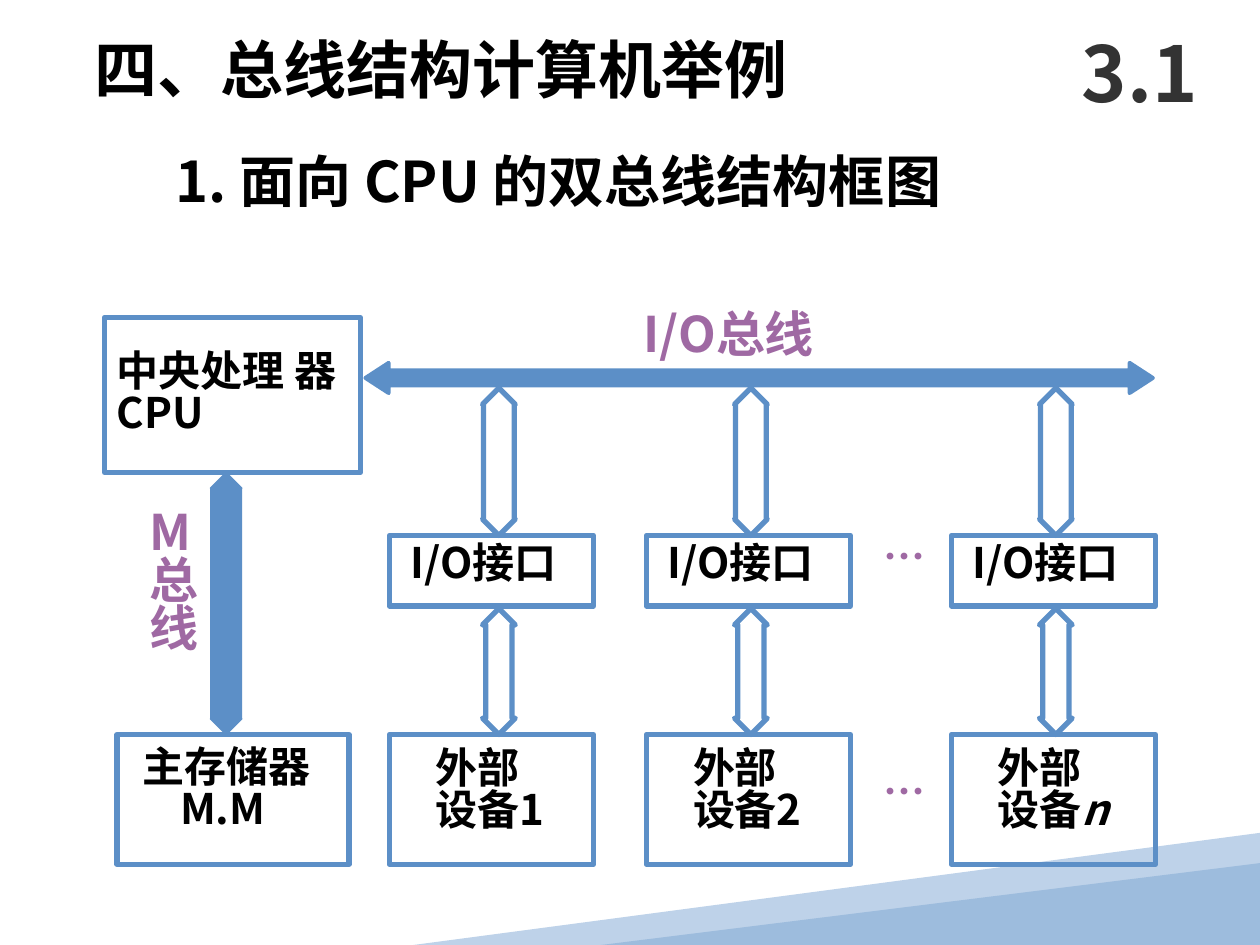
import pptx
import pptx.dml.color
import pptx.enum.shapes
import pptx.enum.text
import pptx.oxml
import pptx.util
from pptx.util import Inches

RGBColor = pptx.dml.color.RGBColor
SHAPE = pptx.enum.shapes.MSO_SHAPE
ANCHOR = pptx.enum.text.MSO_ANCHOR
ALIGN = pptx.enum.text.PP_ALIGN

BLUE = RGBColor(0x5C, 0x8F, 0xC7)
PALE_BLUE = RGBColor(0xBE, 0xD2, 0xE9)
MID_BLUE = RGBColor(0x9D, 0xBC, 0xDD)
PURPLE = RGBColor(0x9F, 0x69, 0xA3)
BLACK = RGBColor(0, 0, 0)
GRAY = RGBColor(0x33, 0x33, 0x33)
FONT = "Noto Sans CJK SC"
LINE_SPACING = 0.82

# Left edge of each device column and the middle of its arrows
COLUMNS = [(3.09, 3.96), (5.13, 5.96), (7.55, 8.38)]
DEVICE_NAMES = ["1", "2", "n"]


def place(box, left, top, width, height):
    box.left, box.top = Inches(left), Inches(top)
    box.width, box.height = Inches(width), Inches(height)


def write(box, lines, size, color=BLACK, insets=(0.1, 0.05, 0.1, 0.05),
          anchor=ANCHOR.TOP, align=ALIGN.LEFT, indents=()):
    """Each line is a list of (text, italic) runs."""
    frame = box.text_frame
    frame.word_wrap = True
    frame.auto_size = pptx.enum.text.MSO_AUTO_SIZE.NONE
    frame.vertical_anchor = anchor
    (frame.margin_left, frame.margin_top,
     frame.margin_right, frame.margin_bottom) = map(Inches, insets)
    for index, line in enumerate(lines):
        para = frame.paragraphs[0] if index == 0 else frame.add_paragraph()
        indent = indents[index] if indents else 0
        props = para._p.get_or_add_pPr()
        props.set("marL", str(Inches(indent)))
        props.set("indent", "0")
        pptx.oxml.ns  # namespace helpers for the bullet element below
        para.alignment = align
        para.line_spacing = LINE_SPACING
        para.space_before = para.space_after = pptx.util.Pt(0)
        props.append(pptx.oxml.xmlchemy.OxmlElement("a:buNone"))
        for text, italic in line:
            span = para.add_run()
            span.text = text
            span.font.name = FONT
            span.font.size = pptx.util.Pt(size)
            span.font.bold = True
            if italic:
                span.font.italic = True
            span.font.color.rgb = color
            east = pptx.oxml.xmlchemy.OxmlElement("a:ea")
            east.set("typeface", FONT)
            span.font._element.find(pptx.oxml.ns.qn("a:latin")).addnext(east)


def add_label(page, bounds, lines, size, color=PURPLE, **options):
    box = page.shapes.add_textbox(*map(Inches, bounds))
    write(box, lines, size, color, **options)


def add_block(page, bounds, lines, **options):
    box = page.shapes.add_shape(SHAPE.RECTANGLE, *map(Inches, bounds))
    box.shadow.inherit = False
    box.fill.background()
    box.line.color.rgb = BLUE
    box.line.width = pptx.util.Pt(3)
    write(box, lines, 24, **options)


def add_arrow(page, kind, bounds, head, line_width, filled=True):
    arrow = page.shapes.add_shape(kind, *map(Inches, bounds))
    arrow.shadow.inherit = False
    arrow.adjustments[0], arrow.adjustments[1] = 0.5, head
    if filled:
        arrow.fill.solid()
        arrow.fill.fore_color.rgb = BLUE
    else:
        arrow.fill.background()
    arrow.line.color.rgb = BLUE
    arrow.line.width = pptx.util.Pt(line_width)


def add_corner(page):
    builder = page.shapes.build_freeform(Inches(10), Inches(6.61))
    builder.add_line_segments(
        [(Inches(x), Inches(y)) for x, y in [(10, 7.44), (6.73, 7.5), (3.28, 7.5)]])
    wedge = builder.convert_to_shape()
    triangle = page.shapes.add_shape(
        SHAPE.ISOSCELES_TRIANGLE, *map(Inches, (4.77, 6.85, 5.23, 0.65)))
    triangle.adjustments[0] = 1
    for shape, color in [(wedge, PALE_BLUE), (triangle, MID_BLUE)]:
        shape.shadow.inherit = False
        shape.fill.solid()
        shape.fill.fore_color.rgb = color
        shape.line.fill.background()


def add_headings(page):
    title, body = page.placeholders[0], page.placeholders[1]
    place(title, 0.65, 0.25, 6.27, 0.7)
    write(title, [[("四、总线结构计算机举例", False)]], 36,
          insets=(0.1, 0.1, 0.1, 0.05))
    place(body, 1.29, 1.17, 6.96, 0.64)
    write(body, [[("1. 面向 CPU 的双总线结构框图", False)]], 32,
          insets=(0.1, 0.09, 0.1, 0.05))
    add_label(page, (8.42, 0.17, 1.25, 0.92), [[("3.1", False)]], 44, GRAY,
              anchor=ANCHOR.MIDDLE, align=ALIGN.CENTER)


def add_processor_side(page):
    add_block(page, (0.83, 2.52, 2.03, 1.23), [[("中央处理 器 CPU", False)]],
              anchor=ANCHOR.MIDDLE)
    add_arrow(page, SHAPE.UP_DOWN_ARROW, (1.67, 3.75, 0.25, 2.08), 0.98, 0.75)
    add_label(page, (1.19, 4.02, 0.47, 1.4),
              [[(text, False)] for text in "M总线"], 28, insets=(0, 0.04, 0, 0))
    add_block(page, (0.93, 5.83, 1.84, 1.03),
              [[("主存储器", False)], [("M.M", False)]],
              insets=(0.2, 0.12, 0.1, 0.05), indents=(0, 0.3))


def add_device_column(page, left, middle, name):
    for top, height, head in [(3.08, 1.17, 0.94), (4.83, 1, 0.8)]:
        add_arrow(page, SHAPE.UP_DOWN_ARROW,
                  (middle - 0.13, top, 0.26, height), head, 3, filled=False)
    add_block(page, (left, 4.25, 1.62, 0.56), [[("I/O接口", False)]],
              insets=(0.17, 0.08, 0.05, 0.05))
    name_runs = ([("设备", False), (name, True)] if name == "n"
                 else [("设备" + name, False)])
    add_block(page, (left, 5.83, 1.62, 1.03), [[("外部", False)], name_runs],
              insets=(0.37, 0.13, 0.05, 0.05))


def add_bus_side(page):
    add_label(page, (5.11, 2.45, 1.98, 0.47), [[("I/O总线", False)]], 28,
              insets=(0, 0.04, 0, 0))
    add_arrow(page, SHAPE.LEFT_RIGHT_ARROW, (2.9, 2.88, 6.25, 0.24), 0.77, 2.25)
    for (left, middle), name in zip(COLUMNS, DEVICE_NAMES):
        add_device_column(page, left, middle, name)
    # Dots between the second and the last column
    for top in (4.25, 6.12):
        add_label(page, (7.01, top, 0.41, 0.4), [[("…", False)]], 24,
                  insets=(0, 0.03, 0, 0))


def main():
    deck = pptx.Presentation()
    deck.slide_width, deck.slide_height = Inches(10), Inches(7.5)
    page = deck.slides.add_slide(deck.slide_layouts[1])
    add_corner(page)
    add_headings(page)
    add_processor_side(page)
    add_bus_side(page)
    deck.save("out.pptx")


if __name__ == "__main__":
    main()
